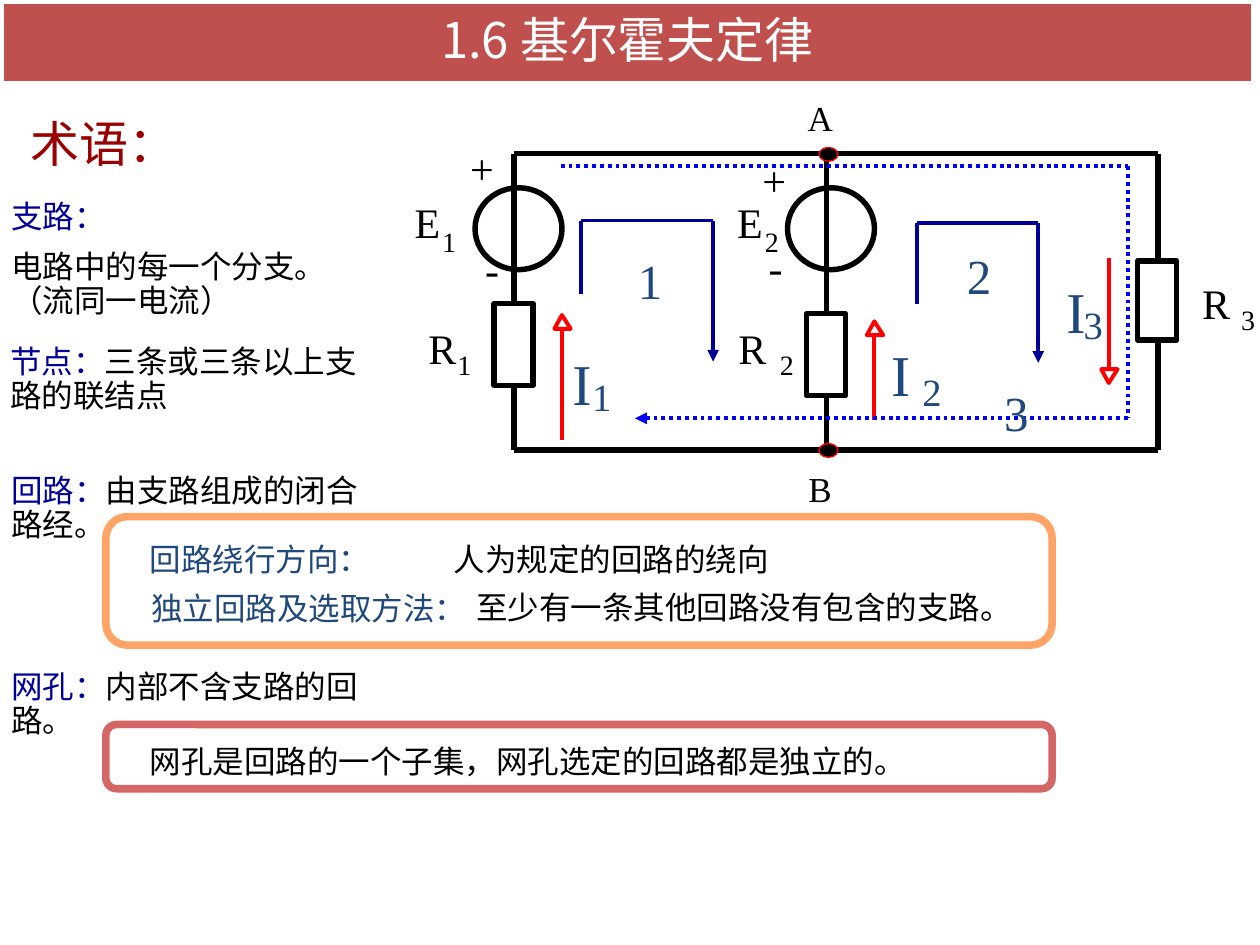
from dataclasses import dataclass
from itertools import pairwise

from lxml import etree
from pptx import Presentation
from pptx.dml.color import RGBColor
from pptx.enum import dml, shapes, text
from pptx.oxml import ns
from pptx.util import Pt

SCALE = 9144


@dataclass(frozen=True)
class Theme:
    black: str = "000000"
    white: str = "FFFFFF"
    red: str = "FF0000"
    navy: str = "000099"
    blue: str = "0000FF"
    slate: str = "1F497D"
    maroon: str = "990000"
    banner: str = "C0504D"
    orange: str = "FFA367"
    rose: str = "D46765"
    latin: str = "Times New Roman"
    cjk: str = "Noto Sans CJK SC"
    heading: int = 28
    body: int = 18
    node: int = 20
    symbol: int = 24
    symbol_index: int = 16
    current: int = 33
    current_index: int = 22
    frame: float = 4.33
    wire: float = 3.13
    thin: float = 2.25
    hairline: float = 0.75


THEME = Theme()


def px(*lengths):
    return [length * SCALE for length in lengths]


def add_child(parent, tag, **attributes):
    return etree.SubElement(parent, ns.qn(tag), attributes)


def style_shape(shape, fill, line, width):
    shape.shadow.inherit = False
    if fill:
        shape.fill.solid()
        shape.fill.fore_color.rgb = RGBColor.from_string(fill)
    else:
        shape.fill.background()
    shape.line.color.rgb = RGBColor.from_string(line)
    shape.line.width = Pt(width)


def add_outline(page, kind, box, line, width, fill=None):
    shape = page.shapes.add_shape(kind, *px(*box))
    style_shape(shape, fill, line, width)


def add_span(para, words, size, color, font=THEME.latin):
    span = para.add_run()
    span.text = words
    span.font.size = Pt(size)
    span.font.color.rgb = RGBColor.from_string(color)
    span.font.name = font
    add_child(span.font._element, "a:ea", typeface=THEME.cjk)


def add_text(page, box, paras, size, font=THEME.latin, wrap=True, inset=(0, 0),
             align=text.PP_ALIGN.LEFT, spacing=0.9):
    frame = page.shapes.add_textbox(*px(*box)).text_frame
    frame.word_wrap = wrap
    frame.auto_size = text.MSO_AUTO_SIZE.SHAPE_TO_FIT_TEXT
    frame.margin_left = frame.margin_right = px(inset[0])[0]
    frame.margin_top = frame.margin_bottom = px(inset[1])[0]
    for index, spans in enumerate(paras):
        para = frame.add_paragraph() if index else frame.paragraphs[0]
        para.alignment = align
        para.line_spacing = spacing
        if index:
            para.space_before = Pt(size / 2)
        for words, color in spans:
            add_span(para, words, size, color, font)


def add_label(page, box, words, size, color, inset=(0, 0)):
    add_text(page, box, [[(words, color)]], size, wrap=False, inset=inset,
             align=text.PP_ALIGN.CENTER, spacing=1.0)


def add_indexed(page, left, top, name, index, gap, drop, sizes, color):
    add_label(page, (left, top, 20, 40), name, sizes[0], color)
    add_label(page, (left + gap, top + drop, 11, 27), index, sizes[1], color)


def add_path(page, points, color, width, dash=None, arrow=False):
    for start, end in pairwise(points):
        line = page.shapes.add_connector(
            shapes.MSO_CONNECTOR.STRAIGHT, *px(*start, *end))
        line.line.color.rgb = RGBColor.from_string(color)
        line.line.width = Pt(width)
        if dash:
            line.line.dash_style = dash
        if arrow and end == points[-1]:
            add_child(line.line._get_or_add_ln(), "a:tailEnd", type="triangle")
        add_child(line._element.spPr, "a:effectLst")


def place_title(page, box, words):
    title = page.shapes.title
    title.left, title.top, title.width, title.height = px(*box)
    style_shape(title, THEME.banner, THEME.white, THEME.frame)
    frame = title.text_frame
    frame.auto_size = text.MSO_AUTO_SIZE.NONE
    frame.vertical_anchor = text.MSO_ANCHOR.MIDDLE
    para = frame.paragraphs[0]
    para.alignment = text.PP_ALIGN.CENTER
    para.line_spacing = 0.9
    add_span(para, words, THEME.heading, THEME.white, THEME.cjk)


def place_panel(page, box, color, notes):
    add_outline(page, shapes.MSO_SHAPE.ROUNDED_RECTANGLE, box, color,
                THEME.frame, THEME.white)
    for x, y, width, words, ink in notes:
        add_text(page, (box[0] + x, box[1] + y, width, 27),
                 [[(words, ink)]], THEME.body)


def place_terms(page, box):
    left, top, width, height = box
    add_text(page, (left + 15, top, 142, 42), [[("术语：", THEME.maroon)]],
             THEME.heading, THEME.cjk)
    add_text(page, (left, top + 65, width, 97),
             [[("支路：", THEME.navy)],
              [("电路中的每一个分支。（流同一电流）", THEME.black)]], THEME.body)
    for x, y, span_width, term, meaning in (
            (-1, 180, 279, "节点：", "三条或三条以上支路的联结点"),
            (0, 282, 278, "回路：", "由支路组成的闭合路经。"),
            (0, 438, width, "网孔：", "内部不含支路的回路。")):
        add_text(page, (left + x, top + y, span_width, 55),
                 [[(term, THEME.navy), (meaning, THEME.black)]], THEME.body)


def place_circuit(page, box):
    left, top, width, height = box
    right, bottom, middle = left + width, top + height, left + 248
    kinds = shapes.MSO_SHAPE
    add_path(page, [(left, top), (right, top)], THEME.black, THEME.wire)
    add_path(page, [(left, bottom), (right, bottom)], THEME.black, THEME.wire)
    for x, start, length, source in (
            (left, 119, 65, True), (middle, 127, 65, True), (right, 85, 63, False)):
        add_outline(page, kinds.RECTANGLE, (x - 16, top + start, 31, length),
                    THEME.black, THEME.wire)
        add_path(page, [(x, top), (x, top + start)], THEME.black, THEME.wire)
        add_path(page, [(x, top + start + length), (x, bottom)],
                 THEME.black, THEME.wire)
        if source:
            add_outline(page, kinds.OVAL, (x - 31, top + 27, 69, 65),
                        THEME.black, THEME.wire)
    for x, y, name, index, gap, drop in (
            (-79, 34, "E", "1", 22, 22), (177, 34, "E", "2", 22, 22),
            (-68, 134, "R", "1", 23, 20), (178, 134, "R", "2", 33, 20),
            (546, 98, "R", "3", 31, 20)):
        add_indexed(page, left + x, top + y, name, index, gap, drop,
                    (THEME.symbol, THEME.symbol_index), THEME.black)
    for x, y, sign in ((-35, -9, "+"), (197, 1, "+"), (-27, 71, "-"), (198, 70, "-")):
        add_label(page, (left + x, top + y, 19, 40), sign, THEME.symbol, THEME.black)
    for y, label_y, name in ((top, -50, "A"), (bottom, 244, "B")):
        add_outline(page, kinds.OVAL, (middle - 6, y - 5, 15, 11),
                    THEME.red, THEME.hairline, THEME.black)
        add_label(page, (middle - 25, top + label_y, 40, 44), name,
                  THEME.node, THEME.black, (10, 5))


def place_mesh(page, box, tail, number, number_at):
    left, top, width, height = box
    add_path(page, [(left, top + tail), (left, top), (left + width, top),
                    (left + width, top + height)],
             THEME.navy, THEME.thin, arrow=True)
    add_label(page, (left + number_at[0], top + number_at[1], 40, 57),
              number, THEME.heading, THEME.slate, (10, 5))


def place_current(page, box, index, label_at, gap, drop, upward=True):
    left, top, width, height = box
    centre = left + width // 2
    tip, tail = (top, top + height) if upward else (top + height, top)
    base = tip + (11 if upward else -11)
    add_path(page, [(centre, tail), (centre, base)], THEME.red, THEME.thin)
    builder = page.shapes.build_freeform(left + width, base, scale=SCALE)
    builder.add_line_segments([(centre, tip), (left, base)], close=True)
    style_shape(builder.convert_to_shape(), THEME.white, THEME.red, THEME.thin)
    add_indexed(page, left + label_at[0], top + label_at[1], "I", index, gap,
                drop, (THEME.current, THEME.current_index), THEME.slate)


def place_outer_loop(page, box):
    left, top, width, height = box
    right, bottom = left + width, top + height
    add_path(page, [(left, top), (right, top), (right, bottom), (left + 59, bottom)],
             THEME.blue, THEME.thin, dml.MSO_LINE.ROUND_DOT, True)
    add_text(page, (left + 342, top + 167, 42, 57), [[("3", THEME.slate)]],
             THEME.heading, inset=(10, 5), spacing=1.0)


def main():
    deck = Presentation()
    deck.slide_width, deck.slide_height = px(1000, 750)
    page = deck.slides.add_slide(deck.slide_layouts[5])
    place_title(page, (0, 0, 996, 67), "1.6 基尔霍夫定律")
    place_panel(page, (84, 575, 751, 51), THEME.rose, [
        (35, 17, 609, "网孔是回路的一个子集，网孔选定的回路都是独立的。", THEME.black)])
    place_panel(page, (84, 410, 751, 102), THEME.orange, [
        (35, 22, 249, "回路绕行方向：", THEME.slate),
        (276, 22, 342, "人为规定的回路的绕向", THEME.black),
        (36, 61, 357, "独立回路及选取方法：", THEME.slate),
        (294, 60, 450, "至少有一条其他回路没有包含的支路。", THEME.black)])
    place_terms(page, (9, 95, 295, 493))
    place_mesh(page, (461, 175, 105, 112), 58, "1", (35, 19))
    place_mesh(page, (728, 177, 96, 111), 64, "2", (29, 13))
    place_current(page, (440, 250, 13, 99), "1", (12, 26), 18, 20)
    place_current(page, (688, 255, 13, 78), "2", (17, 14), 27, 23)
    place_current(page, (874, 205, 13, 99), "3", (-30, 14), 16, 20, upward=False)
    place_circuit(page, (408, 122, 511, 235))
    place_outer_loop(page, (445, 132, 450, 200))
    deck.save("out.pptx")


if __name__ == "__main__":
    main()
